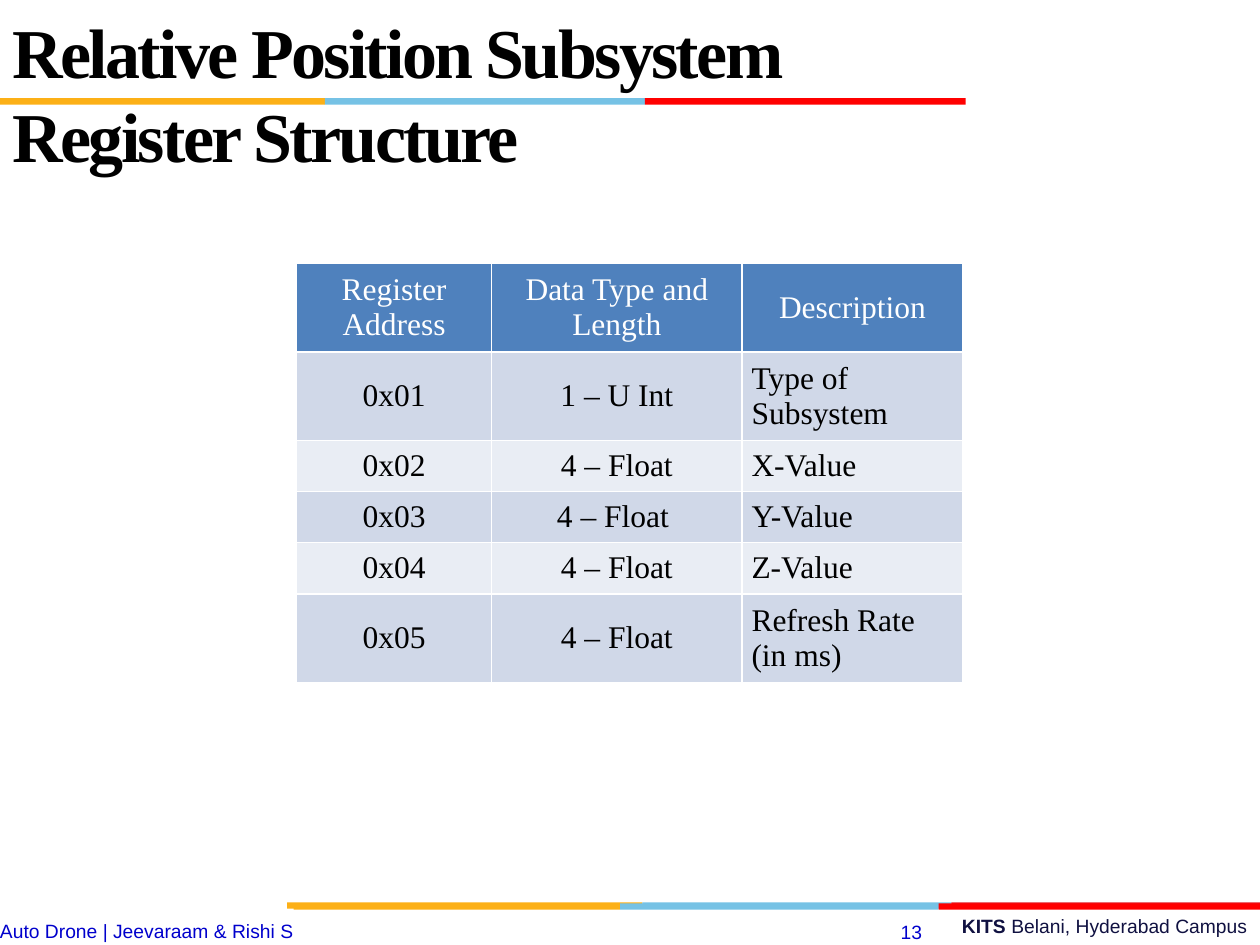
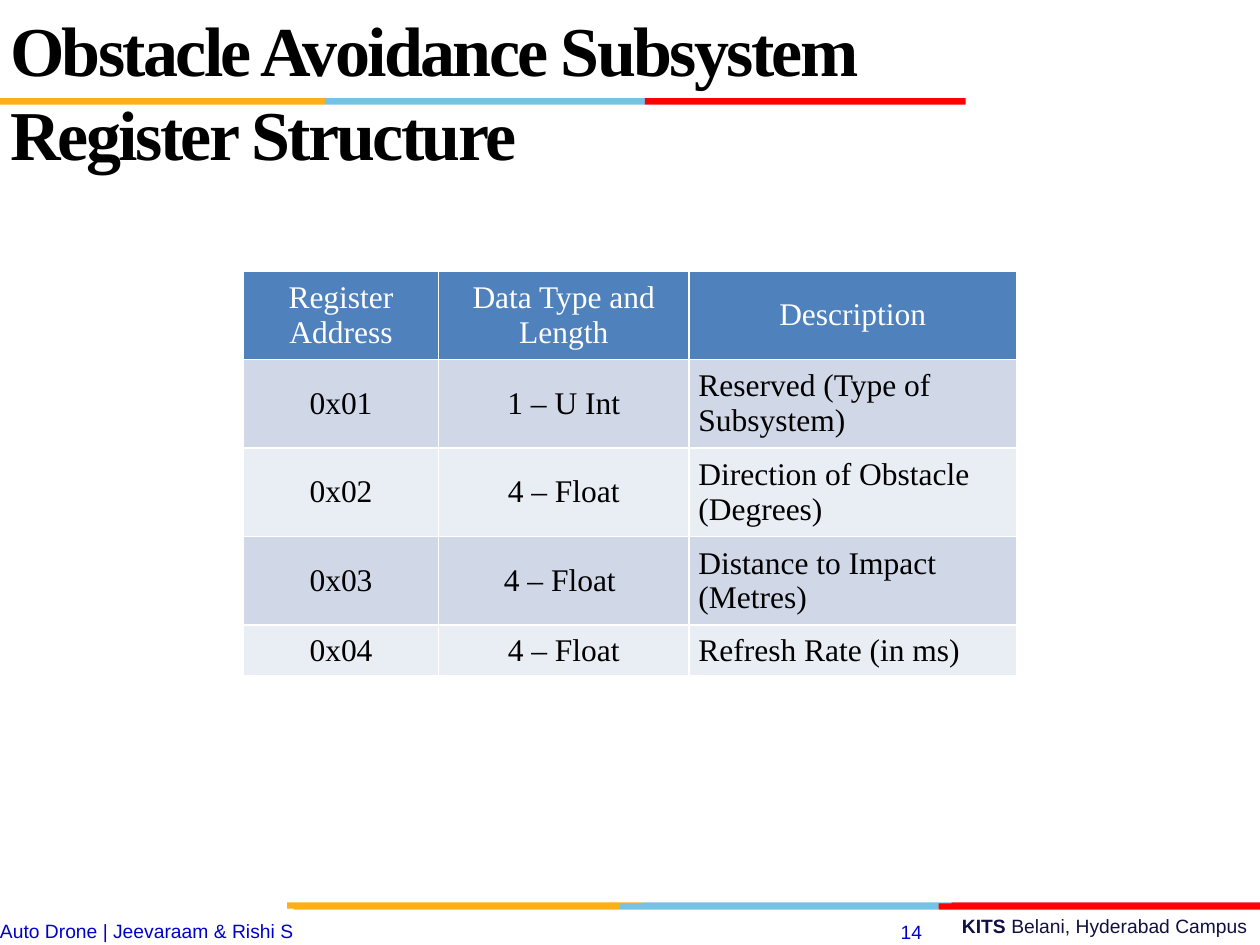
import dataclasses
import itertools

import lxml.etree
import pptx
import pptx.dml.color
import pptx.enum.shapes
import pptx.enum.text
import pptx.oxml.ns
import pptx.util

Cm = pptx.util.Cm
Pt = pptx.util.Pt
ALIGN = pptx.enum.text.PP_ALIGN
ANCHOR = pptx.enum.text.MSO_ANCHOR


@dataclasses.dataclass(frozen=True)
class Theme:
    title_font: str = "Times New Roman"
    footer_font: str = "Arial"
    title_size: int = 40
    title_line: int = 48
    table_size: int = 18
    footer_size: int = 11
    black: str = "000000"
    white: str = "FFFFFF"
    campus: str = "101141"
    footer: str = "0000CC"
    header: str = "4F81BD"
    bands: tuple = ("D0D8E8", "E9EDF4")
    orange: str = "FCB017"
    blue: str = "76C2E5"
    red: str = "FF0000"
    dark_red: str = "E31C24"


THEME = Theme()
SLIDE_WIDTH, SLIDE_HEIGHT = 25.4, 19.05
STRIPE_HEIGHT = 0.13
ONE_LINE, TWO_LINES = 1.03, 1.78  # table row heights
HEADINGS = ("Register Address", "Data Type and Length", "Description", TWO_LINES)


def rgb(value):
    return pptx.dml.color.RGBColor.from_string(value)


def add_span(para, text, font, size, color, bold=False):
    span = para.add_run()
    span.text = text
    span.font.name = font
    span.font.size = Pt(size)
    span.font.bold = bold
    span.font.color.rgb = rgb(color)
    return span


def place(shape, left, top, width, height):
    shape.left, shape.top = Cm(left), Cm(top)
    shape.width, shape.height = Cm(width), Cm(height)


def add_title(page, text, left, top, width):
    title = page.shapes.title
    place(title, left, top, width, 3.18)
    frame = title.text_frame
    frame.word_wrap = True
    frame.auto_size = pptx.enum.text.MSO_AUTO_SIZE.NONE
    frame.vertical_anchor = ANCHOR.TOP
    para = frame.paragraphs[0]
    para.alignment = ALIGN.LEFT
    para.line_spacing = Pt(THEME.title_line)
    para.space_before = Pt(0)
    span = add_span(para, text, THEME.title_font, THEME.title_size, THEME.black, bold=True)
    span.font._element.set("spc", "-150")


def add_stripe(page, top, edges, colors):
    """Draw adjoining bars between successive edges."""
    for (left, right), color in zip(itertools.pairwise(edges), colors):
        bar = page.shapes.add_shape(
            pptx.enum.shapes.MSO_SHAPE.RECTANGLE,
            Cm(left), Cm(top), Cm(right - left), Cm(STRIPE_HEIGHT))
        bar.shadow.inherit = False
        bar.fill.solid()
        bar.fill.fore_color.rgb = rgb(color)
        bar.line.fill.background()


def add_footer_text(page, box_place, spans, color, align, inset=True):
    box = page.shapes.add_textbox(*map(Cm, box_place))
    frame = box.text_frame
    frame.word_wrap = True
    if not inset:
        frame.margin_left = frame.margin_right = 0
        frame.margin_top = frame.margin_bottom = 0
    para = frame.paragraphs[0]
    para.alignment = align
    for text, bold in spans:
        add_span(para, text, THEME.footer_font, THEME.footer_size, color, bold)


def add_furniture(page, number):
    """Add the stripes and footer that every page shares."""
    add_footer_text(page, (9.1, 18.31, 16.3, 0.74),
                    [("KITS ", True), ("Belani, Hyderabad Campus", False)],
                    THEME.campus, ALIGN.RIGHT)
    add_stripe(page, 18.19, (5.79, 12.95, 19.18, SLIDE_WIDTH),
               (THEME.orange, THEME.blue, THEME.dark_red))
    colors = (THEME.orange, THEME.blue, THEME.red)
    add_stripe(page, 18.21, (5.92, 12.5, 18.92, SLIDE_WIDTH), colors)
    add_stripe(page, 1.98, (0, 6.55, 13, 19.47), colors)
    add_footer_text(page, (16.94, 18.42, 1.9, 0.71), [(str(number), False)],
                    THEME.footer, ALIGN.RIGHT)
    add_footer_text(page, (0, 18.54, 17.78, 0.48),
                    [("Auto Drone | Jeevaraam & Rishi S", False)],
                    THEME.footer, ALIGN.LEFT, inset=False)


def set_borders(cell):
    properties = cell._tc.get_or_add_tcPr()
    for position, side in enumerate(("lnL", "lnR", "lnT", "lnB")):
        line = lxml.etree.Element(pptx.oxml.ns.qn(f"a:{side}"), w=str(Pt(1)))
        fill = lxml.etree.SubElement(line, pptx.oxml.ns.qn("a:solidFill"))
        lxml.etree.SubElement(fill, pptx.oxml.ns.qn("a:srgbClr"), val=THEME.white)
        properties.insert(position, line)


def fill_cell(cell, text, align, fill, color):
    cell.fill.solid()
    cell.fill.fore_color.rgb = rgb(fill)
    cell.vertical_anchor = ANCHOR.MIDDLE
    cell.margin_left = cell.margin_right = Cm(0.19)
    cell.margin_top = cell.margin_bottom = Cm(0.13)
    para = cell.text_frame.paragraphs[0]
    para.alignment = align
    add_span(para, text, THEME.title_font, THEME.table_size, color)
    set_borders(cell)


def add_register_table(page, left, top, description_width, registers):
    rows = [HEADINGS, *registers]
    widths = (3.93, 5.05, description_width)
    table = page.shapes.add_table(
        len(rows), len(widths), Cm(left), Cm(top),
        Cm(sum(widths)), Cm(sum(row[-1] for row in rows))).table
    for column, width in zip(table.columns, widths):
        column.width = Cm(width)
    for row_index, (*texts, height) in enumerate(rows):
        table.rows[row_index].height = Cm(height)
        is_header = row_index == 0
        fill = THEME.header if is_header else THEME.bands[(row_index - 1) % 2]
        color = THEME.white if is_header else THEME.black
        for column_index, text in enumerate(texts):
            centred = is_header or column_index < 2
            fill_cell(table.cell(row_index, column_index), text,
                      ALIGN.CENTER if centred else ALIGN.LEFT, fill, color)


def add_page(deck, number):
    page = deck.slides.add_slide(deck.slide_layouts[5])
    add_furniture(page, number)
    return page


def main():
    deck = pptx.Presentation()
    deck.slide_width, deck.slide_height = Cm(SLIDE_WIDTH), Cm(SLIDE_HEIGHT)

    # Relative position registers
    page = add_page(deck, 13)
    add_title(page, "Relative Position Subsystem Register Structure", 0, 0.05, 18.42)
    add_register_table(page, 5.98, 5.31, 4.45, [
        ("0x01", "1 – U Int", "Type of Subsystem", TWO_LINES),
        ("0x02", "4 – Float", "X-Value", ONE_LINE),
        ("0x03", "4 – Float ", "Y-Value", ONE_LINE),
        ("0x04", "4 – Float", "Z-Value", ONE_LINE),
        ("0x05", "4 – Float", "Refresh Rate (in ms)", TWO_LINES),
    ])

    # Obstacle avoidance registers
    page = add_page(deck, 14)
    add_title(page, "Obstacle Avoidance Subsystem Register Structure", -0.05, 0, 18.26)
    add_register_table(page, 4.91, 5.46, 6.6, [
        ("0x01", "1 – U Int", "Reserved (Type of Subsystem)", TWO_LINES),
        ("0x02", "4 – Float", "Direction of Obstacle (Degrees)", TWO_LINES),
        ("0x03", "4 – Float ", "Distance to Impact (Metres)", TWO_LINES),
        ("0x04", "4 – Float", "Refresh Rate (in ms)", ONE_LINE),
    ])

    deck.save("out.pptx")


if __name__ == "__main__":
    main()
